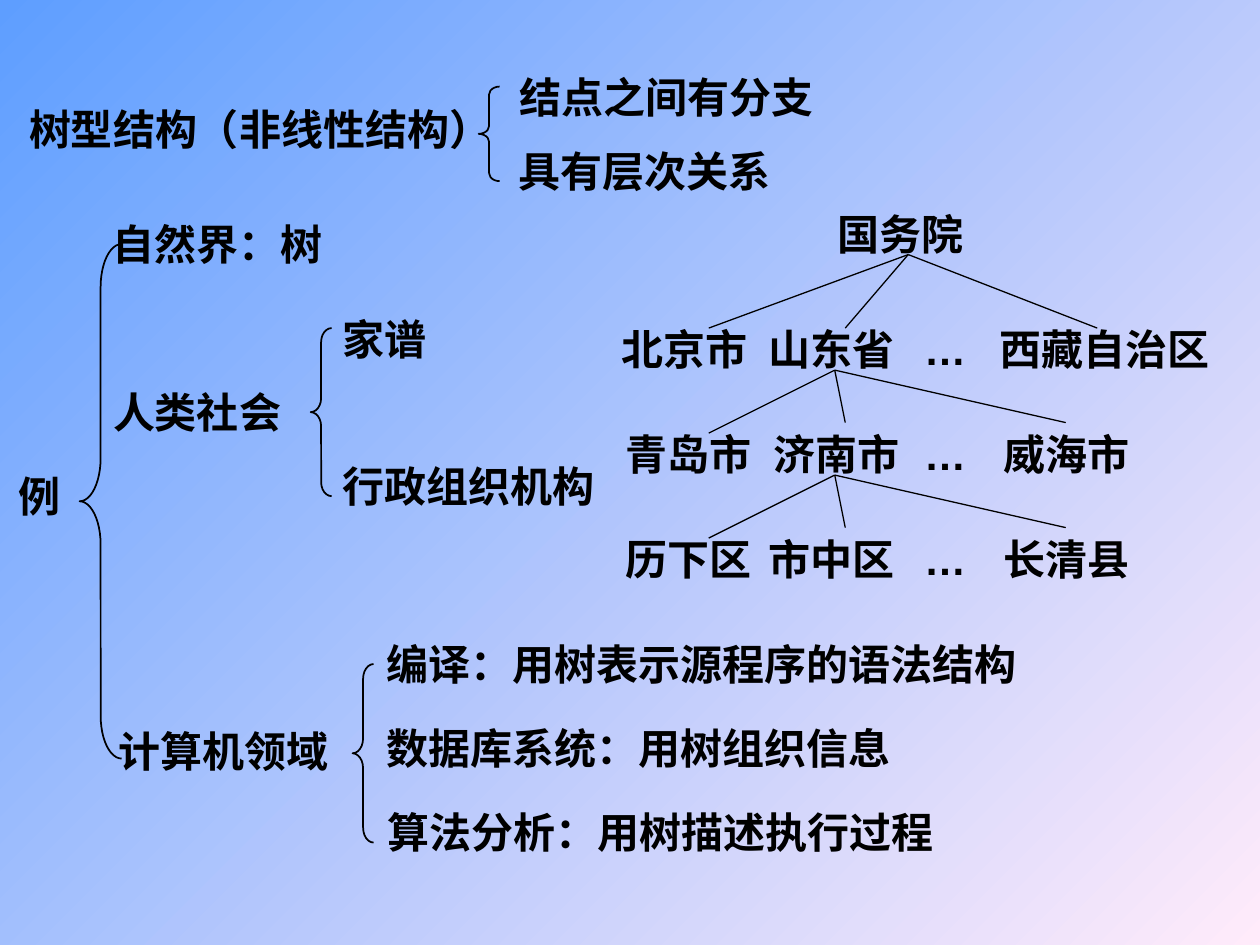
"""Builds a slide on tree structures, with examples and a tree of administrative units."""
from lxml import etree
from pptx import Presentation
from pptx.dml.color import RGBColor
from pptx.enum import shapes as kinds
from pptx.oxml.ns import qn
from pptx.util import Pt

ROMAN, SANS, ARIAL = "Times New Roman", "Noto Sans CJK SC", "Arial"
INK = "000000"


def tint(code):
    """Return the colour of a hex string."""
    return RGBColor.from_string(code)


def label(left, top, width, words, font=ROMAN):
    """Add one bold line of text."""
    box = slide.shapes.add_textbox(Pt(left), Pt(top), Pt(width), Pt(36))
    box.text_frame.word_wrap = True
    box.text_frame.text = words
    run = box.text_frame.paragraphs[0].runs[0]
    run.font.name, run.font.size, run.font.bold = font, Pt(24), True
    run.font.color.rgb = tint(INK)
    if font != ARIAL:
        etree.SubElement(run.font._element, qn("a:ea"), typeface=SANS)


deck = Presentation()
deck.slide_width, deck.slide_height = Pt(720), Pt(540)
slide = deck.slides.add_slide(deck.slide_layouts[6])

fill = slide.background.fill
fill.gradient()
fill.gradient_angle = 315
for stop, code in zip(fill.gradient_stops, ("5E9EFF", "FFEBFA")):
    stop.color.rgb = tint(code)

label(290, 37.5, 188, "结点之间有分支", SANS)
label(289, 79.5, 163.5, "具有层次关系", SANS)
for left, top, width, words in (
    (9.5, 55.5, 284, "树型结构（非线性结构）"),
    (3.5, 265.5, 62, "例"),
    (57.5, 121.5, 158, "自然界：树"),
    (57.5, 217.5, 134, "人类社会"),
    (188.5, 175.5, 74, "家谱"),
    (188.5, 259.5, 170, "行政组织机构"),
    (60.5, 411, 146, "计算机领域"),
    (214, 361.5, 398, "编译：用树表示源程序的语法结构"),
    (214, 409.5, 326, "数据库系统：用树组织信息"),
    (214.5, 457.5, 350, "算法分析：用树描述执行过程"),
    (471.5, 115.5, 110, "国务院"),
):
    label(left, top, width, words)

for left, top, width, height in (
    (273.5, 49.5, 12, 54),
    (45.5, 139.5, 24, 294),
    (177.5, 187.5, 12, 96),
    (201.5, 379.5, 12, 102),
):
    brace = slide.shapes.add_shape(
        kinds.MSO_SHAPE.LEFT_BRACE, Pt(left), Pt(top), Pt(width), Pt(height))
    brace.adjustments[0] = height / 12 / width
    brace.shadow.inherit = False
    brace.fill.background()
    brace.line.color.rgb = tint(INK)
    brace.line.width = Pt(1)

for row, (lefts, names) in enumerate((
    ((348, 432, 564), ("北京市", "山东省", "西藏自治区")),
    ((350.5, 435, 566.5), ("青岛市", "济南市", "威海市")),
    ((350.5, 432, 566.5), ("历下区", "市中区", "长清县")),
)):
    top = 181.5 + 60 * row
    for left, name in zip(lefts, names):
        label(left, top, 38 + 24 * len(name), name)
    label(521, top, 56, "…", ARIAL)

for x, y, ends in (
    (519, 145.5, ((405, 187.5), (483, 187.5), (627, 187.5))),
    (477, 211.5, ((405, 247.5), (483, 241.5), (609, 241.5))),
    (477, 271.5, ((405, 307.5), (483, 301.5), (609, 301.5))),
):
    for right, low in ends:
        edge = slide.shapes.add_connector(
            kinds.MSO_CONNECTOR.STRAIGHT, Pt(x), Pt(y), Pt(right), Pt(low))
        edge.line.color.rgb = tint(INK)
        edge.line.width = Pt(0.75)
        etree.SubElement(edge._element.spPr, qn("a:effectLst"))

deck.save("out.pptx")
